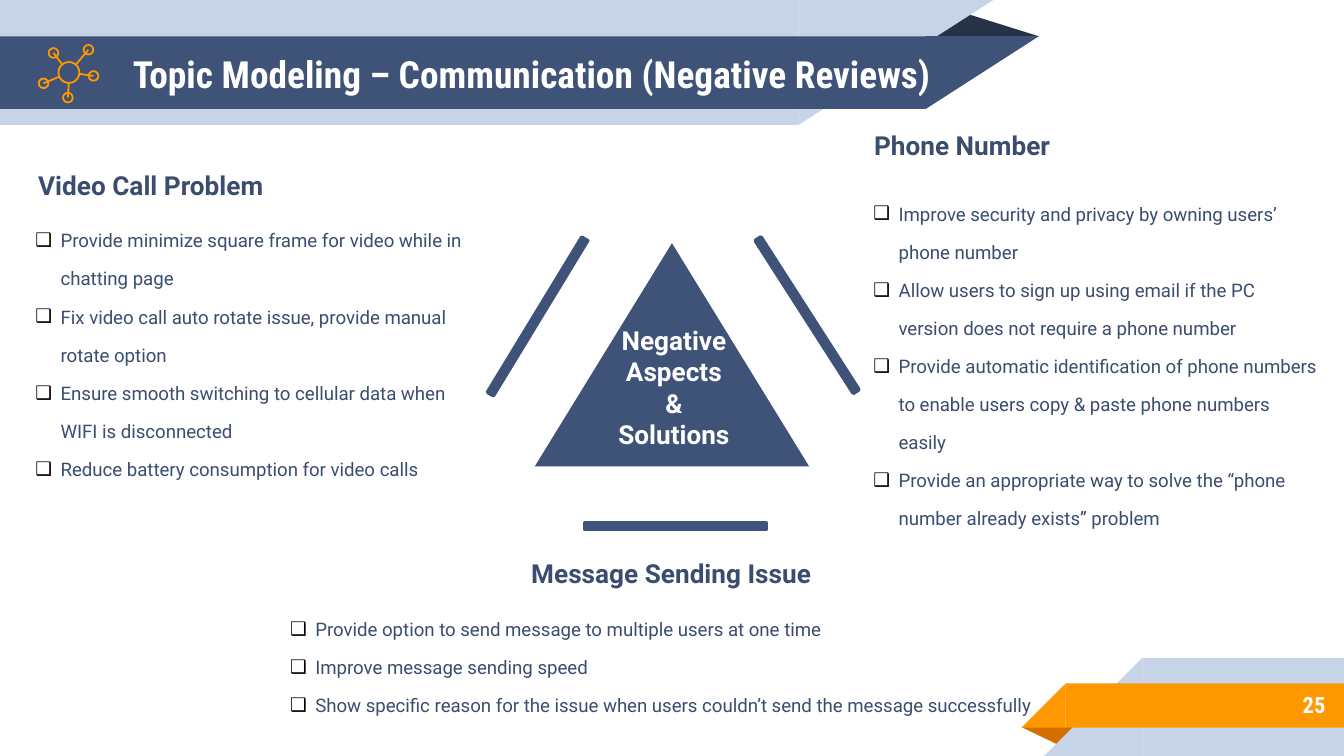
from lxml import etree
from pptx import Presentation
from pptx import util as u
from pptx.dml.color import RGBColor
from pptx.enum import shapes as s, text as t
from pptx.oxml import ns

NAVY, PALE, DARK = "3F5378", "C7D3E6", "263248"
GOLD, RUST, INK, WHITE = "FF9800", "D26F00", "3B4D6F", "FFFFFF"
RECT, WEDGE = s.MSO_SHAPE.RECTANGLE, s.MSO_SHAPE.RIGHT_TRIANGLE
PEAK, OVAL = s.MSO_SHAPE.ISOSCELES_TRIANGLE, s.MSO_SHAPE.OVAL

deck = Presentation()
deck.slide_width = u.Inches(10)
deck.slide_height = deck.slide_width * 9 // 16
page = deck.slides.add_slide(deck.slide_layouts[6])
# Square grid: 100 columns across the slide, rows of the same size
UNIT = deck.slide_width // 100
hue = RGBColor.from_string


def draw(kind, box, fill=None, line=None, width=1, turn=0, flip=False):
    shape = page.shapes.add_shape(kind, *[round(n * UNIT) for n in box])
    shape.shadow.inherit = False
    shape.rotation = turn
    if flip:
        shape._element.spPr.xfrm.set("flipH", "1")
    if fill:
        shape.fill.solid()
        shape.fill.fore_color.rgb = hue(fill)
    else:
        shape.fill.background()
    if line:
        shape.line.color.rgb = hue(line)
        shape.line.width = u.Pt(width)
    else:
        shape.line.fill.background()
    return shape


def write(box, lines, size, color=INK, face="Roboto", bold=True,
          align=t.PP_ALIGN.LEFT, middle=False, bullets=False):
    frame = page.shapes.add_textbox(*[round(n * UNIT) for n in box]).text_frame
    frame.word_wrap = True
    if middle:
        frame.vertical_anchor = t.MSO_ANCHOR.MIDDLE
    frame.text = "\n".join(lines)
    for para in frame.paragraphs:
        para.alignment = align
        if bullets:
            para.line_spacing = 1.7
            props = para._p.get_or_add_pPr()
            props.set("marL", str(round(1.88 * UNIT)))
            props.set("indent", str(round(-1.88 * UNIT)))
            tint = etree.SubElement(props, ns.qn("a:buClr"))
            etree.SubElement(tint, ns.qn("a:srgbClr"), val="000000")
            etree.SubElement(props, ns.qn("a:buFont"), typeface=face)
            etree.SubElement(props, ns.qn("a:buChar"), char="❑")
        font = para.font
        font.name, font.size, font.bold = face, u.Pt(size), bold
        font.color.rgb = hue(color)


# Header ribbon
fold = draw(PEAK, (68.8, 0.9, 8.5, 1.8), DARK)
fold.adjustments[0] = 0.324
for top, high, wide, tip, color in [(0, 9.3, 59.4, 14.5, PALE),
                                    (2.7, 5.4, 68.9, 8.4, NAVY)]:
    draw(RECT, (0, top, wide, high), color, turn=180, flip=True)
    draw(WEDGE, (wide, top, tip, high), color, turn=180, flip=True)

# Footer ribbon
fold = draw(PEAK, (76, 54.1, 4.3, 1.4), RUST, turn=180)
fold.adjustments[0] = 0.324
for left, top, high, color in [(85, 48.95, 7.3, PALE), (79.3, 50.85, 3.3, GOLD)]:
    draw(RECT, (left, top, 100 - left, high), color, flip=True)
    draw(WEDGE, (left - high, top, high, high), color, flip=True)

# Title and page number
write((8.9, 2.7, 61.8, 5.6), ["Topic Modeling – Communication (Negative Reviews)"],
      20, WHITE, "Roboto Condensed", middle=True)
write((83.3, 50.7, 16.3, 3.5), ["25"], 12, WHITE, "Roboto Condensed",
      align=t.PP_ALIGN.RIGHT, middle=True)

# Network icon: hub, outer nodes and their spokes
draw(OVAL, (4.35, 4.62, 1.56, 1.56), line=GOLD, width=0.96)
for x, y, hx, hy in [(6.58, 3.7, 5.64, 4.82), (3.98, 3.94, 4.65, 4.82),
                     (3.24, 6.2, 4.4, 5.72), (5.05, 7.26, 5.12, 6.2),
                     (6.96, 5.65, 5.92, 5.5)]:
    draw(OVAL, (x - 0.36, y - 0.36, 0.72, 0.72), line=GOLD, width=0.96)
    spoke = page.shapes.add_connector(
        s.MSO_CONNECTOR.STRAIGHT, *[round(n * UNIT) for n in (x, y, hx, hy)])
    spoke.line.color.rgb = hue(GOLD)
    spoke.line.width = u.Pt(0.96)
    etree.SubElement(spoke._element.spPr, ns.qn("a:effectLst"))

# Central triangle with a bar along each side
draw(PEAK, (39.8, 18.1, 20.4, 16.6), NAVY)
write((43.45, 23.65, 13.4, 10.4), ["Negative", "Aspects", "&", "Solutions"],
      14, WHITE, align=t.PP_ALIGN.CENTER)
for x, y, turn in [(40, 23.55, 31.3), (60.05, 23.45, 147.3), (50.25, 39.15, 90)]:
    draw(RECT, (x - 0.25, y - 6.75, 0.5, 13.5), NAVY, NAVY, 2, turn)

# Three topics: heading and bullet list
topics = [
    ("Video Call Problem", (1.85, 12.1, 19.8, 3.5), t.PP_ALIGN.LEFT,
     (1.65, 15.4, 35, 20.7),
     ["Provide minimize square frame for video while in chatting page",
      "Fix video call auto rotate issue, provide manual rotate option",
      "Ensure smooth switching to cellular data when WIFI is disconnected",
      "Reduce battery consumption for video calls"]),
    ("Phone Number", (64.05, 9.15, 26.5, 3.4), t.PP_ALIGN.LEFT,
     (64, 13.4, 35, 26.4),
     ["Improve security and privacy by owning users’ phone number",
      "Allow users to sign up using email if the PC version does not require "
      "a phone number",
      "Provide automatic identification of phone numbers to enable users "
      "copy & paste phone numbers easily",
      "Provide an appropriate way to solve the “phone number already exists” "
      "problem"]),
    ("Message Sending Issue", (30.8, 41, 38.3, 3.4), t.PP_ALIGN.CENTER,
     (20.6, 44.3, 58.7, 9.2),
     ["Provide option to send message to multiple users at one time",
      "Improve message sending speed",
      "Show specific reason for the issue when users couldn’t send the message "
      "successfully"]),
]
for head, spot, align, area, points in topics:
    write(spot, [head], 14, align=align)
    write(area, points, 10, bold=False, bullets=True)

deck.save("out.pptx")
